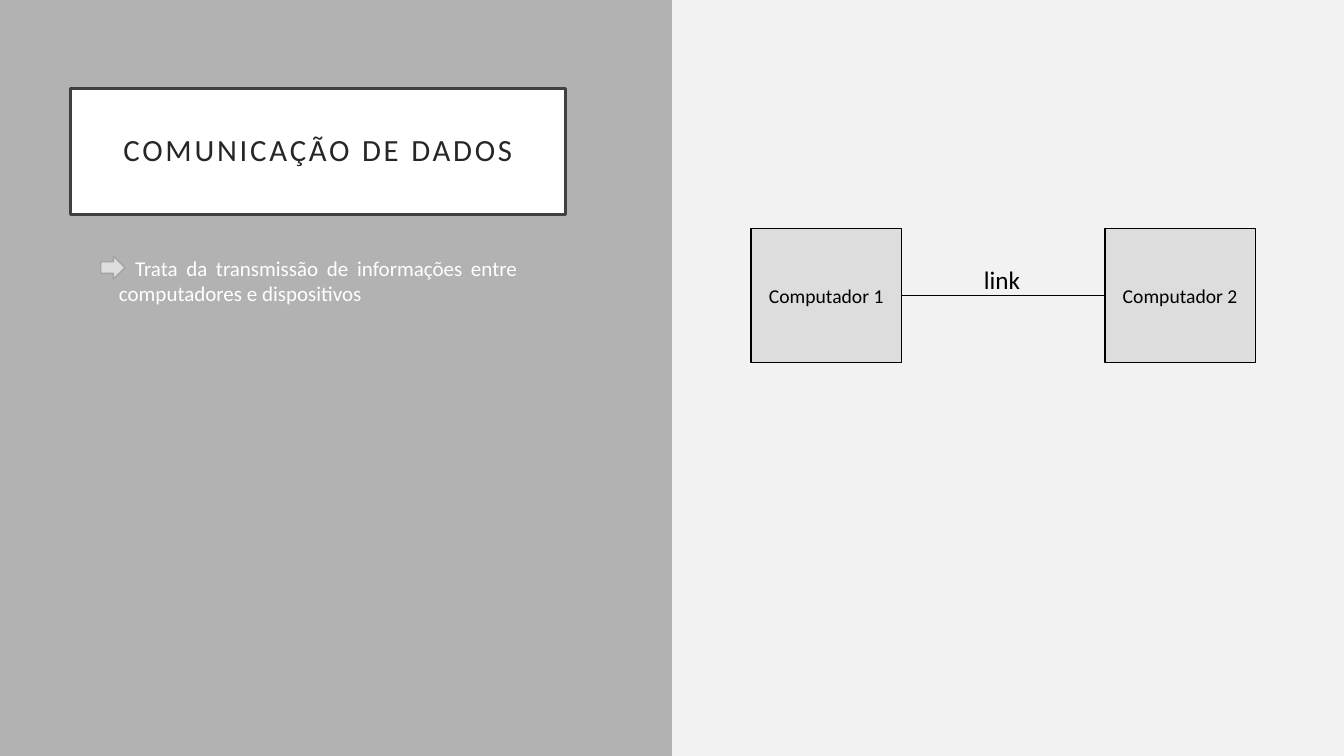
"""Build the data communication slide: a titled text panel beside two linked computers."""
import pptx
import pptx.util
import pptx.dml.color
import pptx.enum.shapes
import pptx.enum.text
import pptx.oxml.ns
import lxml.etree

Inches, Pt = pptx.util.Inches, pptx.util.Pt
SHAPE = pptx.enum.shapes.MSO_SHAPE
ALIGN = pptx.enum.text.PP_ALIGN
ANCHOR = pptx.enum.text.MSO_ANCHOR
FIT = pptx.enum.text.MSO_AUTO_SIZE

TITLE = "COMUNICAÇÃO DE DADOS"
BODY = "Trata da transmissão de informações entre computadores e dispositivos"
COMPUTERS = ["Computador 1", "Computador 2"]
LINK = "link"

THEME = {
    "font": "Calibri",
    "colors": {"page": "F2F2F2", "panel": "B2B2B2", "white": "FFFFFF", "frame": "404040",
               "title": "262626", "box": "DDDDDD", "arrow_line": "A3A3A3", "black": "000000"},
    "sizes": {"title": 22, "body": 15, "box": 14, "link": 18},
}
W, H = 13.33, 7.5
BOX_X, BOX_Y, BOX_W, BOX_H, BOX_STEP = 7.45, 2.27, 1.49, 1.33, 3.51


def color(name):
    return pptx.dml.color.RGBColor.from_string(THEME["colors"][name])


def place(sp, *at):
    for name, value in zip(("left", "top", "width", "height"), at):
        setattr(sp, name, Inches(value))


def paint(sp, fill, line=None, width=1):
    sp.fill.solid()
    sp.fill.fore_color.rgb = color(fill)
    if line:
        sp.line.color.rgb = color(line)
        sp.line.width = Pt(width)
    else:
        sp.line.fill.background()


def add_shape(kind, at, fill, line=None):
    sp = s.shapes.add_shape(kind, *map(Inches, at))
    sp.shadow.inherit = False
    paint(sp, fill, line)
    return sp


def write(sp, text, size, ink, frame, para):
    tf = sp.text_frame
    for name, value in frame.items():
        setattr(tf, name, value)
    p = tf.paragraphs[0]
    for name, value in para.items():
        setattr(p, name, value)
    r = p.add_run()
    r.text = text
    font = {"name": THEME["font"], "size": Pt(THEME["sizes"][size]), "bold": False}
    for name, value in font.items():
        setattr(r.font, name, value)
    r.font.color.rgb = color(ink)
    return p, r


prs = pptx.Presentation()
prs.slide_width, prs.slide_height = Inches(W), Inches(H)
s = prs.slides.add_slide(prs.slide_layouts[1])
s.background.fill.solid()
s.background.fill.fore_color.rgb = color("page")
title, body = s.placeholders

panel = add_shape(SHAPE.RECTANGLE, (0, 0, W / 2, H), "panel")
title._element.addprevious(panel._element)

place(title, 0.7, 0.88, 4.91, 1.25)
paint(title, "white", "frame", 2.5)
margins = {f"margin_{side}": Inches(0.2) for side in ("left", "top", "right", "bottom")}
p, r = write(title, TITLE, "title", "title",
             {"auto_size": FIT.NONE, "vertical_anchor": ANCHOR.MIDDLE, "word_wrap": True, **margins},
             {"alignment": ALIGN.CENTER, "line_spacing": 0.9})
r.font._element.set("spc", "200")

place(body, 1.08, 2.48, 4.15, 2.4)
p, r = write(body, BODY, "body", "white",
             {"auto_size": FIT.NONE, "vertical_anchor": ANCHOR.TOP, "word_wrap": True},
             {"alignment": ALIGN.JUSTIFY, "space_before": Pt(10)})
pPr = p._p.get_or_add_pPr()
pPr.set("marL", "0")
pPr.set("indent", str(Inches(0.16)))
lxml.etree.SubElement(pPr, pptx.oxml.ns.qn("a:buNone"))

add_shape(SHAPE.RIGHT_ARROW, (1, 2.54, 0.24, 0.23), "box", "arrow_line")

for i, name in enumerate(COMPUTERS):
    box = add_shape(SHAPE.RECTANGLE, (BOX_X + i * BOX_STEP, BOX_Y, BOX_W, BOX_H), "box", "black")
    write(box, name, "box", "black",
          {"vertical_anchor": ANCHOR.MIDDLE, "word_wrap": True}, {"alignment": ALIGN.CENTER})

mid_y = BOX_Y + BOX_H / 2
link = s.shapes.add_connector(pptx.enum.shapes.MSO_CONNECTOR.STRAIGHT,
                              *map(Inches, (BOX_X + BOX_W, mid_y, BOX_X + BOX_STEP, mid_y)))
link.line.color.rgb = color("black")
link.line.width = Pt(0.5)
lxml.etree.SubElement(link._element.spPr, pptx.oxml.ns.qn("a:effectLst"))

label = s.shapes.add_textbox(*map(Inches, (9.66, 2.57, 0.56, 0.4)))
write(label, LINK, "link", "black",
      {"word_wrap": False, "auto_size": FIT.SHAPE_TO_FIT_TEXT}, {"alignment": ALIGN.LEFT})

prs.save("out.pptx")
